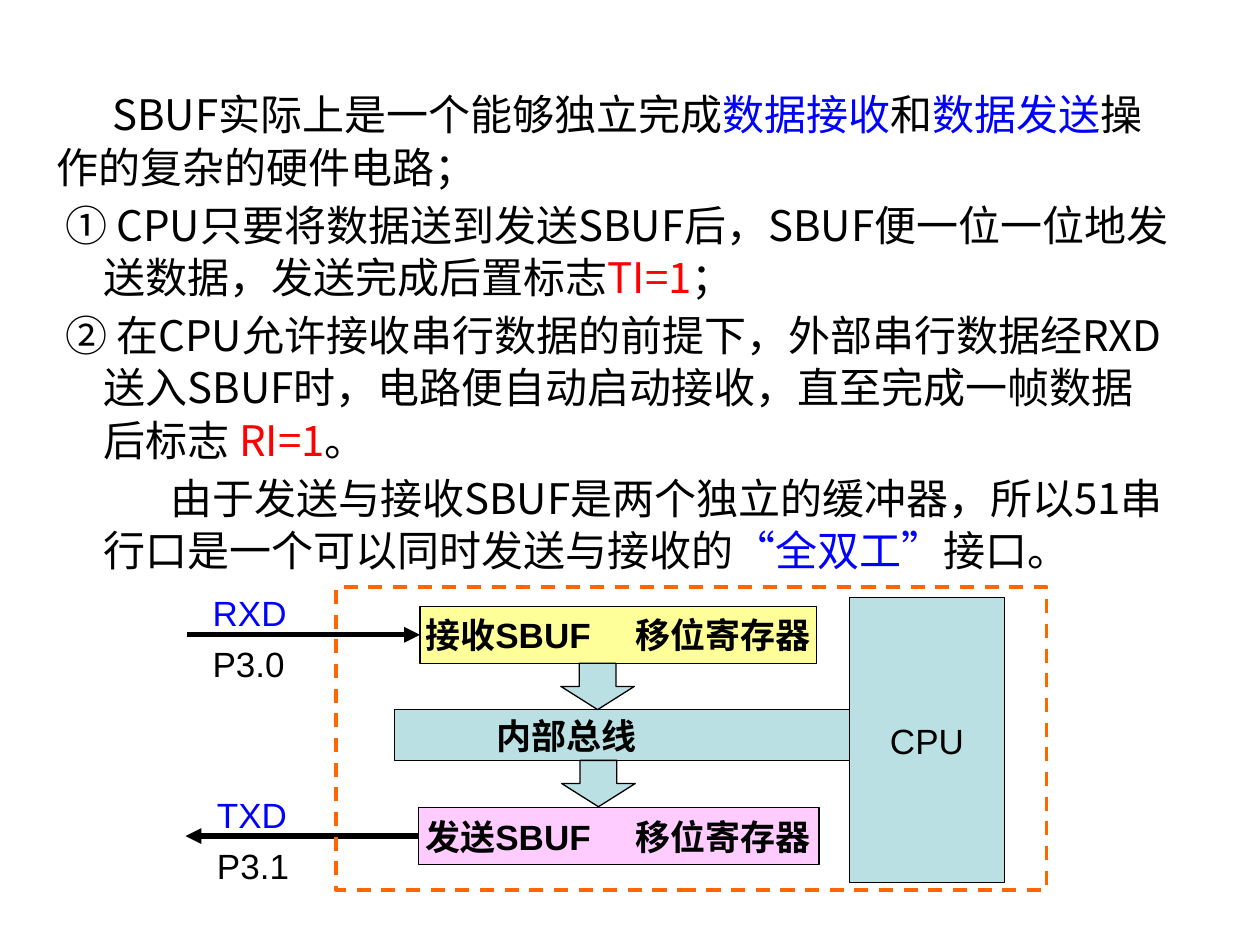
"""Build a slide on the SBUF send and receive buffers of a serial port."""
import pptx
import pptx.util
import pptx.dml.color
import pptx.enum.dml
import pptx.enum.shapes
import pptx.enum.text
import pptx.oxml.ns
import lxml.etree

Pt = pptx.util.Pt
RGBColor = pptx.dml.color.RGBColor
SHAPE = pptx.enum.shapes.MSO_SHAPE
ALIGN = pptx.enum.text.PP_ALIGN
ANCHOR = pptx.enum.text.MSO_ANCHOR
qn = pptx.oxml.ns.qn

BLACK = RGBColor(0x00, 0x00, 0x00)
BLUE = RGBColor(0x00, 0x00, 0xFF)
RED = RGBColor(0xFF, 0x00, 0x00)
YELLOW = RGBColor(0xFF, 0xFF, 0x99)
PINK = RGBColor(0xFF, 0xCC, 0xFF)
TEAL = RGBColor(0xBB, 0xE0, 0xE3)
ORANGE = RGBColor(0xFF, 0x66, 0x00)
CJK_FONT = "Noto Sans CJK SC"


def style_span(span, size, color, latin="Arial", bold=False):
    """Format one run, with the same East Asian font everywhere."""
    span.font.size = Pt(size)
    span.font.bold = bold
    span.font.color.rgb = color
    span.font.name = latin
    east_asian = lxml.etree.Element(qn("a:ea"), typeface=CJK_FONT)
    span.font._element.find(qn("a:latin")).addnext(east_asian)


def add_block(slide, kind, bounds, fill=None):
    """Add a thinly outlined preset shape without a shadow."""
    block = slide.shapes.add_shape(kind, *[Pt(value) for value in bounds])
    block.shadow.inherit = False
    block.line.color.rgb = BLACK
    block.line.width = Pt(0.75)
    if fill is None:
        block.fill.background()
    else:
        block.fill.solid()
        block.fill.fore_color.rgb = fill
    return block


deck = pptx.Presentation()
deck.slide_width, deck.slide_height = Pt(720), Pt(540)
page = deck.slides.add_slide(deck.slide_layouts[1])
title = page.shapes.title
title._element.getparent().remove(title._element)

body = page.placeholders[1]
body.left, body.top, body.width, body.height = Pt(25), Pt(46), Pt(652.5), Pt(287)
body.text_frame.word_wrap = True
body.text_frame.auto_size = pptx.enum.text.MSO_AUTO_SIZE.NONE
body.text_frame.vertical_anchor = ANCHOR.TOP

passages = [
    (0, 32, [("SBUF实际上是一个能够独立完成", BLACK), ("数据接收", BLUE), ("和", BLACK),
             ("数据发送", BLUE), ("操作的复杂的硬件电路；", BLACK)]),
    (27, -22, [("① CPU只要将数据送到发送SBUF后，SBUF便一位一位地发送数据，发送完成后置标志", BLACK),
               ("TI=1", RED), ("；", BLACK)]),
    (27, -22, [("② 在CPU允许接收串行数据的前提下，外部串行数据经RXD送入SBUF时，"
                "电路便自动启动接收，直至完成一帧数据后标志 ", BLACK),
               ("RI=1", RED), ("。", BLACK)]),
    (27, 38, [("由于发送与接收SBUF是两个独立的缓冲器，所以51串行口是一个可以同时发送与接收的", BLACK),
              ("“全双工”", BLUE), ("接口。", BLACK)]),
]
for index, (margin, indent, pieces) in enumerate(passages):
    para = body.text_frame.add_paragraph() if index else body.text_frame.paragraphs[0]
    properties = para._p.get_or_add_pPr()
    properties.set("marL", str(Pt(margin)))
    properties.set("indent", str(Pt(indent)))
    lxml.etree.SubElement(properties, qn("a:buNone"))
    para.alignment = ALIGN.LEFT
    para.line_spacing = Pt(30)
    para.space_before = Pt(3 if index else 0)
    for words, color in pieces:
        span = para.add_run()
        span.text = words
        style_span(span, 24, color, CJK_FONT)

receive_bounds = (240, 346.5, 226.5, 32.5)
send_bounds = (239, 461.5, 229, 32.5)
blocks = [
    ("接收SBUF\t移位寄存器", receive_bounds, YELLOW, 3, ALIGN.LEFT, True),
    ("发送SBUF\t移位寄存器", send_bounds, PINK, 4, ALIGN.LEFT, True),
    ("内部总线", (225.5, 405.5, 302, 29), TEAL, 58, ALIGN.LEFT, True),
    ("CPU", (485.5, 341.5, 88.5, 163), TEAL, 0, ALIGN.CENTER, False),
]
boxes = []
for words, bounds, fill, inset, alignment, bold in blocks:
    box = add_block(page, SHAPE.RECTANGLE, bounds, fill)
    frame = box.text_frame
    frame.word_wrap = True
    frame.vertical_anchor = ANCHOR.MIDDLE
    frame.margin_left, frame.margin_right = Pt(inset), 0
    para = frame.paragraphs[0]
    if "\t" in words:
        tabs = lxml.etree.SubElement(para._p.get_or_add_pPr(), qn("a:tabLst"))
        lxml.etree.SubElement(tabs, qn("a:tab"), pos=str(Pt(120)), algn="l")
    para.alignment = alignment
    span = para.add_run()
    span.text = words
    style_span(span, 20, BLACK, bold=bold)
    boxes.append(box)

for left, top in [(320.5, 379), (321, 434.5)]:
    add_block(page, SHAPE.DOWN_ARROW, (left, top, 42, 26.5), TEAL)

for box, outer, incoming in [(boxes[0], 107, True), (boxes[1], 106, False)]:
    middle = box.top + box.height // 2
    ends = [Pt(outer), box.left] if incoming else [box.left, Pt(outer)]
    arrow = page.shapes.add_connector(
        pptx.enum.shapes.MSO_CONNECTOR.STRAIGHT, ends[0], middle, ends[1], middle)
    if incoming:
        arrow.end_connect(box, 1)
    else:
        arrow.begin_connect(box, 1)
    arrow.line.color.rgb = BLACK
    arrow.line.width = Pt(3)
    lxml.etree.SubElement(arrow.line._get_or_add_ln(), qn("a:tailEnd"), type="triangle")
    lxml.etree.SubElement(arrow._element.spPr, qn("a:effectLst"))

outline = add_block(page, SHAPE.RECTANGLE, (192, 335.5, 406, 173))
outline.line.color.rgb = ORANGE
outline.line.width = Pt(2)
outline.line.dash_style = pptx.enum.dml.MSO_LINE.DASH

for signal, pin, left, top in [("RXD", "P3.0", 121.5, 334.5), ("TXD", "P3.1", 124, 450)]:
    label = page.shapes.add_textbox(Pt(left), Pt(top), Pt(68), Pt(58))
    frame = label.text_frame
    frame.word_wrap = True
    frame.margin_left = frame.margin_right = 0
    frame.text = f"{signal}\n{pin}"
    frame.paragraphs[1].space_before = Pt(5)
    for para, color in zip(frame.paragraphs, (BLUE, BLACK)):
        style_span(para.runs[0], 20, color)

deck.save("out.pptx")
